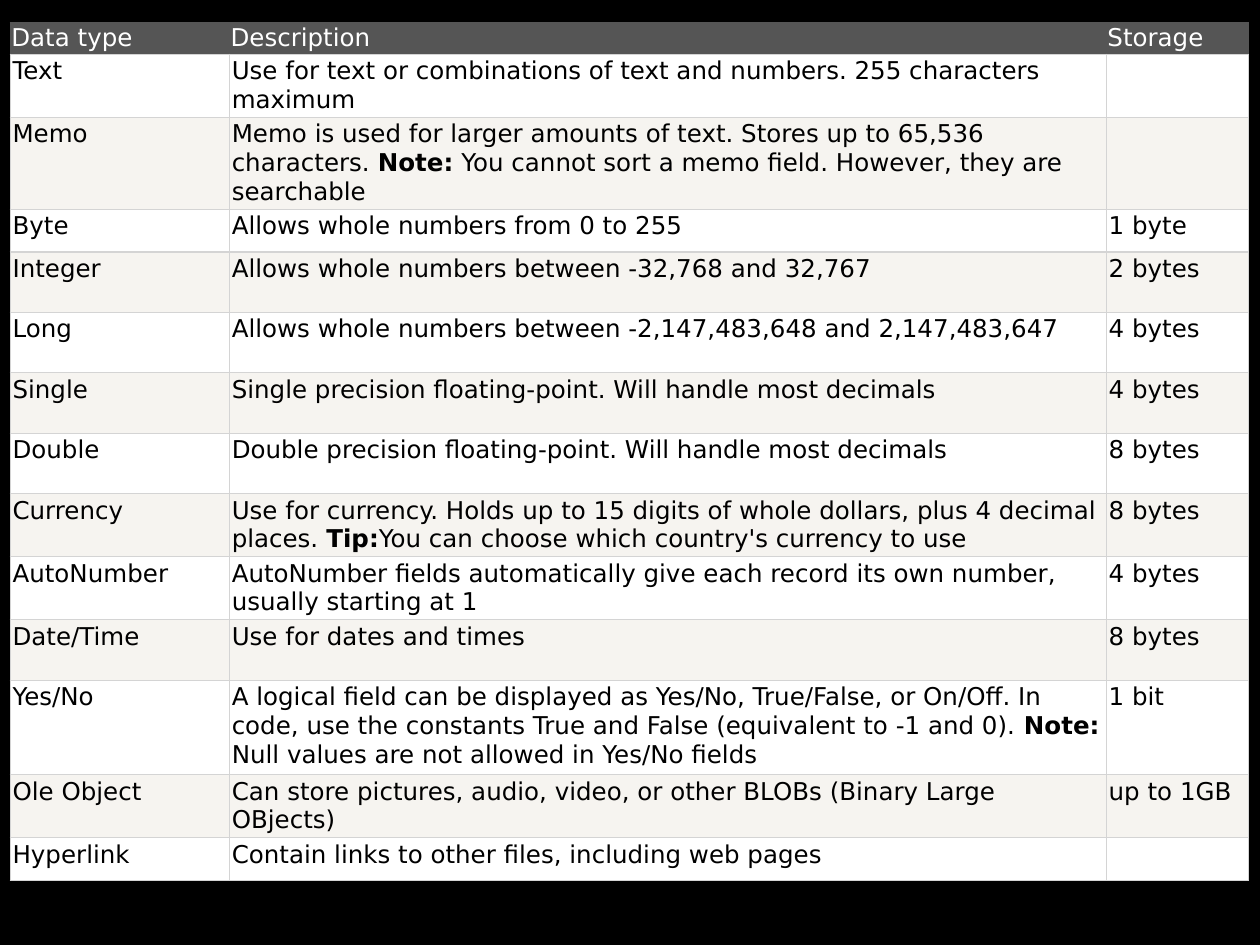
from lxml.etree import SubElement
from pptx import Presentation
from pptx.dml.color import RGBColor
from pptx.oxml.ns import qn
from pptx.util import Inches, Pt

FONT = "DejaVu Sans"
GRID, HEADER_FILL = "D4D4D4", "555555"
BAND_FILLS = ("FFFFFF", "F6F4F0")
COLUMN_WIDTHS = (1.74, 6.96, 1.13)
HEADINGS = ("Data type", "Description", "Storage")

# Each entry: row height, data type, description runs (every second one bold), storage
DATA_TYPES = [
    (0.5, "Text", ["Use for text or combinations of text and numbers. 255 characters maximum"], ""),
    (0.73, "Memo", ["Memo is used for larger amounts of text. Stores up to 65,536 characters. ",
                    "Note:", " You cannot sort a memo field. However, they are searchable"], ""),
    (0.34, "Byte", ["Allows whole numbers from 0 to 255"], "1 byte"),
    (0.48, "Integer", ["Allows whole numbers between -32,768 and 32,767"], "2 bytes"),
    (0.48, "Long", ["Allows whole numbers between -2,147,483,648 and 2,147,483,647"], "4 bytes"),
    (0.48, "Single", ["Single precision floating-point. Will handle most decimals"], "4 bytes"),
    (0.48, "Double", ["Double precision floating-point. Will handle most decimals"], "8 bytes"),
    (0.5, "Currency", ["Use for currency. Holds up to 15 digits of whole dollars, plus 4 decimal places. ",
                       "Tip:", "You can choose which country's currency to use"], "8 bytes"),
    (0.5, "AutoNumber", ["AutoNumber fields automatically give each record its own number, "
                         "usually starting at 1"], "4 bytes"),
    (0.48, "Date/Time", ["Use for dates and times"], "8 bytes"),
    (0.75, "Yes/No", ["A logical field can be displayed as Yes/No, True/False, or On/Off. In code, "
                      "use the constants True and False (equivalent to -1 and 0). ",
                      "Note:", " Null values are not allowed in Yes/No fields"], "1 bit"),
    (0.5, "Ole Object", ["Can store pictures, audio, video, or other BLOBs (Binary Large OBjects)"],
     "up to 1GB"),
    (0.34, "Hyperlink", ["Contain links to other files, including web pages"], ""),
]


def rgb(value):
    """Return the colour for a hex string."""
    return RGBColor.from_string(value)


def set_borders(cell, side_color, bottom_color):
    """Draw thin lines on the four sides of a cell."""
    properties = cell._tc.get_or_add_tcPr()
    for side in "LRTB":
        line = SubElement(properties, qn(f"a:ln{side}"), w=str(Pt(0.75)))
        fill = SubElement(line, qn("a:solidFill"))
        SubElement(fill, qn("a:srgbClr"), val=bottom_color if side == "B" else side_color)


def fill_cell(cell, runs, text_color, fill, side_color, margin):
    """Write the runs into a cell and style it."""
    set_borders(cell, side_color, GRID)
    cell.fill.solid()
    cell.fill.fore_color.rgb = rgb(fill)
    cell.margin_left = cell.margin_right = Inches(margin)
    cell.margin_top = cell.margin_bottom = Inches(margin)
    paragraph = cell.text_frame.paragraphs[0]
    for index, text in enumerate(runs):
        run = paragraph.add_run()
        run.text = text
        run.font.name = FONT
        run.font.size = Pt(14)
        run.font.bold = index % 2 == 1
        run.font.color.rgb = rgb(text_color)


def add_data_type_table(slide):
    """Add the table of field data types."""
    heights = [0.25] + [entry[0] for entry in DATA_TYPES]
    table = slide.shapes.add_table(
        len(heights), len(COLUMN_WIDTHS), Inches(0.08), Inches(0.18),
        Inches(sum(COLUMN_WIDTHS)), Inches(sum(heights))).table
    table.first_row = table.horz_banding = False
    for column, width in zip(table.columns, COLUMN_WIDTHS):
        column.width = Inches(width)
    for row, height in zip(table.rows, heights):
        row.height = Inches(height)
    for column, heading in enumerate(HEADINGS):
        fill_cell(table.cell(0, column), [heading], "FFFFFF", HEADER_FILL, HEADER_FILL, 0.01)
    for row, (_, data_type, description, storage) in enumerate(DATA_TYPES, 1):
        band = BAND_FILLS[(row - 1) % 2]
        for column, runs in enumerate(([data_type], description, [storage])):
            fill_cell(table.cell(row, column), runs, "000000", band, GRID, 0.02)


def main():
    """Build the slide and save it."""
    presentation = Presentation()
    presentation.slide_width, presentation.slide_height = Inches(10), Inches(7.5)
    slide = presentation.slides.add_slide(presentation.slide_layouts[6])
    slide.background.fill.solid()
    slide.background.fill.fore_color.rgb = rgb("000000")
    add_data_type_table(slide)
    presentation.save("out.pptx")


if __name__ == "__main__":
    main()
